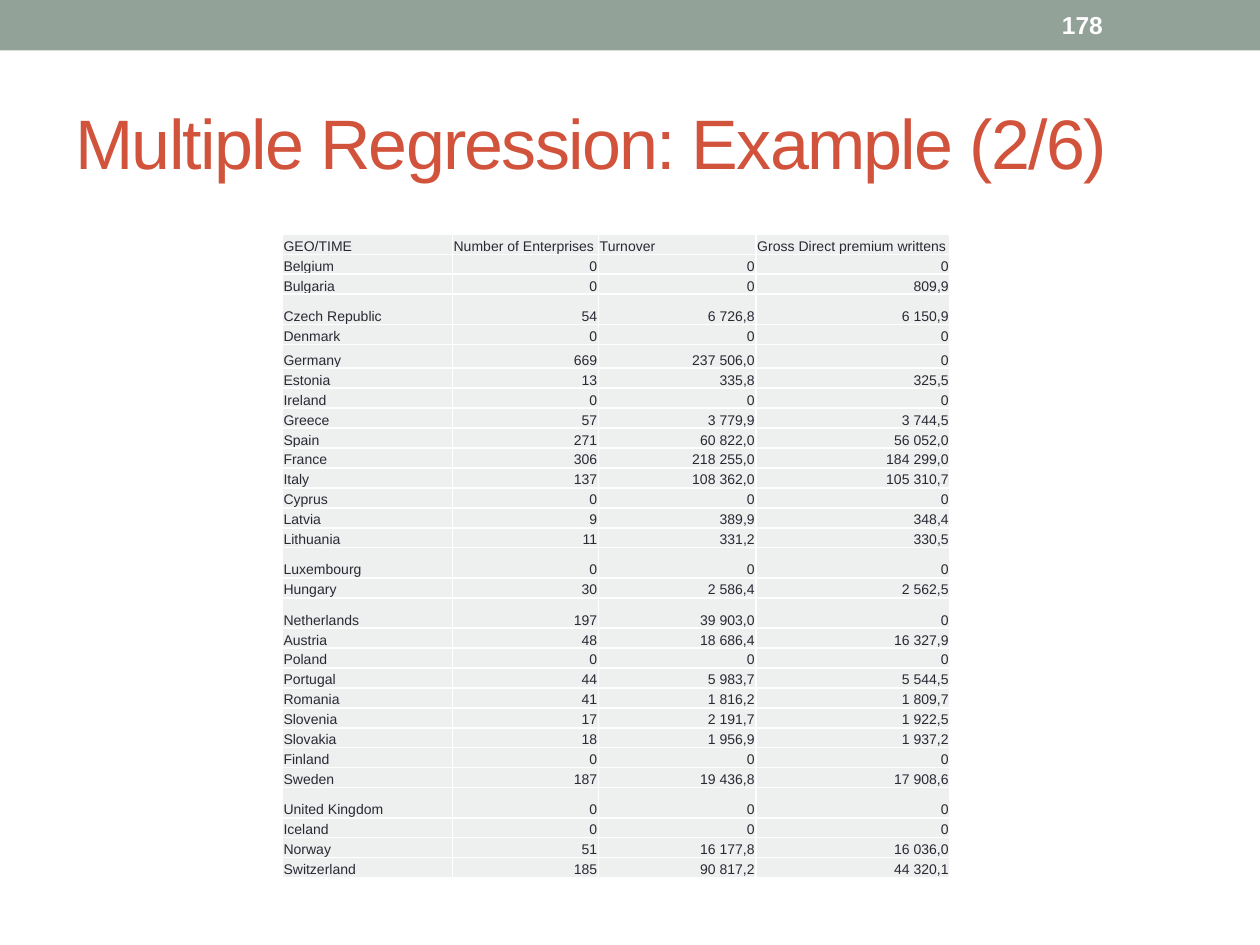
"""Build the slide with the insurance data table of the multiple regression example."""

import dataclasses

import lxml.etree
import pptx
import pptx.dml.color
import pptx.enum.shapes
import pptx.enum.text
import pptx.oxml.ns
import pptx.util

Inches = pptx.util.Inches
ANCHOR = pptx.enum.text.MSO_ANCHOR
ALIGN = pptx.enum.text.PP_ALIGN

HEADER = ["GEO/TIME", "Number of Enterprises", "Turnover", "Gross Direct premium writtens"]
COUNTRIES = [
    ["Belgium", "0", "0", "0"],
    ["Bulgaria", "0", "0", "809,9"],
    ["Czech Republic", "54", "6 726,8", "6 150,9"],
    ["Denmark", "0", "0", "0"],
    ["Germany", "669", "237 506,0", "0"],
    ["Estonia", "13", "335,8", "325,5"],
    ["Ireland", "0", "0", "0"],
    ["Greece", "57", "3 779,9", "3 744,5"],
    ["Spain", "271", "60 822,0", "56 052,0"],
    ["France", "306", "218 255,0", "184 299,0"],
    ["Italy", "137", "108 362,0", "105 310,7"],
    ["Cyprus", "0", "0", "0"],
    ["Latvia", "9", "389,9", "348,4"],
    ["Lithuania", "11", "331,2", "330,5"],
    ["Luxembourg", "0", "0", "0"],
    ["Hungary", "30", "2 586,4", "2 562,5"],
    ["Netherlands", "197", "39 903,0", "0"],
    ["Austria", "48", "18 686,4", "16 327,9"],
    ["Poland", "0", "0", "0"],
    ["Portugal", "44", "5 983,7", "5 544,5"],
    ["Romania", "41", "1 816,2", "1 809,7"],
    ["Slovenia", "17", "2 191,7", "1 922,5"],
    ["Slovakia", "18", "1 956,9", "1 937,2"],
    ["Finland", "0", "0", "0"],
    ["Sweden", "187", "19 436,8", "17 908,6"],
    ["United Kingdom", "0", "0", "0"],
    ["Iceland", "0", "0", "0"],
    ["Norway", "51", "16 177,8", "16 036,0"],
    ["Switzerland", "185", "90 817,2", "44 320,1"],
]
COLUMN_WIDTHS = [1.35, 1.16, 1.25, 1.54]
TALL_ROWS = {
    "Czech Republic": 0.24,
    "Germany": 0.19,
    "Luxembourg": 0.24,
    "Netherlands": 0.24,
    "United Kingdom": 0.24,
}


def color(code):
    """Return the colour for a hexadecimal code."""
    return pptx.dml.color.RGBColor.from_string(code)


@dataclasses.dataclass(frozen=True)
class Theme:
    """Colours, font and type sizes of the slide."""

    font: str = "Arial"
    band: str = "93A299"
    title: str = "D2533C"
    white: str = "FFFFFF"
    ink: str = "292934"
    cell: str = "EEF0EF"
    title_size: int = 40
    number_size: int = 14
    cell_size: int = 8


class SlideBuilder:
    """Draw styled elements on the current slide."""

    def __init__(self, page, theme):
        """Keep the slide and its theme."""
        self.page = page
        self.theme = theme

    def add_span(self, para, text, size, code, bold=False):
        """Add a styled run to a paragraph and return it."""
        span = para.add_run()
        span.text = text
        formats = {"name": self.theme.font, "size": pptx.util.Pt(size), "bold": bold}
        for name, value in formats.items():
            setattr(span.font, name, value)
        span.font.color.rgb = color(code)
        return span

    def band(self, left, top, width, height):
        """Add a plain filled rectangle."""
        shape = self.page.shapes.add_shape(
            pptx.enum.shapes.MSO_SHAPE.RECTANGLE, *map(Inches, (left, top, width, height))
        )
        shape.shadow.inherit = False
        shape.fill.solid()
        shape.fill.fore_color.rgb = color(self.theme.band)
        shape.line.fill.background()

    def text(self, bounds, text, size, code, bold=False, spacing=0):
        """Add a vertically centred line of text with spacing in points."""
        box = self.page.shapes.add_textbox(*map(Inches, bounds))
        formats = {"word_wrap": True, "vertical_anchor": ANCHOR.MIDDLE}
        for name, value in formats.items():
            setattr(box.text_frame, name, value)
        span = self.add_span(box.text_frame.paragraphs[0], text, size, code, bold)
        if spacing:
            span.font._element.set("spc", str(spacing * 100))

    def borders(self, cell):
        """Give a cell thin lines on all four sides."""
        properties = cell._tc.get_or_add_tcPr()
        qualified = pptx.oxml.ns.qn
        for side in ("a:lnL", "a:lnR", "a:lnT", "a:lnB"):
            line = lxml.etree.SubElement(properties, qualified(side), w=str(pptx.util.Pt(1)))
            fill = lxml.etree.SubElement(line, qualified("a:solidFill"))
            lxml.etree.SubElement(fill, qualified("a:srgbClr"), val=self.theme.white)

    def cell(self, cell, text, align):
        """Fill one table cell with its colour and text."""
        self.borders(cell)
        formats = {
            "margin_left": Inches(0.01),
            "margin_top": Inches(0.01),
            "margin_right": Inches(0.01),
            "margin_bottom": 0,
            "vertical_anchor": ANCHOR.BOTTOM,
        }
        for name, value in formats.items():
            setattr(cell, name, value)
        cell.fill.solid()
        cell.fill.fore_color.rgb = color(self.theme.cell)
        para = cell.text_frame.paragraphs[0]
        para.alignment = align
        self.add_span(para, text, self.theme.cell_size, self.theme.ink)

    def table(self, left, top, height, rows, widths, tall_rows):
        """Add a table whose ordinary rows share the height left by the tall ones."""
        frame = self.page.shapes.add_table(
            len(rows), len(widths), *map(Inches, (left, top, sum(widths), height))
        )
        table = frame.table
        table.first_row = table.horz_banding = False
        for column, width in zip(table.columns, widths):
            column.width = Inches(width)
        ordinary = (height - sum(tall_rows.values())) / (len(rows) - len(tall_rows))
        for i, values in enumerate(rows):
            table.rows[i].height = Inches(tall_rows.get(values[0], ordinary))
            for j, value in enumerate(values):
                align = ALIGN.RIGHT if i and j else ALIGN.LEFT
                self.cell(table.cell(i, j), value, align)


def main():
    """Build and save the deck."""
    deck = pptx.Presentation()
    deck.slide_width, deck.slide_height = Inches(10), Inches(7.5)
    theme = Theme()
    builder = SlideBuilder(deck.slides.add_slide(deck.slide_layouts[6]), theme)
    builder.band(0, 0, 10, 0.4)
    builder.text(
        (0.5, 0.58, 9, 1.08),
        "Multiple Regression: Example (2/6)",
        theme.title_size,
        theme.title,
        spacing=-1,
    )
    builder.text((8.33, 0.02, 1.17, 0.36), "178", theme.number_size, theme.white, bold=True)
    builder.table(2.24, 1.86, 5.11, [HEADER] + COUNTRIES, COLUMN_WIDTHS, TALL_ROWS)
    deck.save("out.pptx")


if __name__ == "__main__":
    main()
